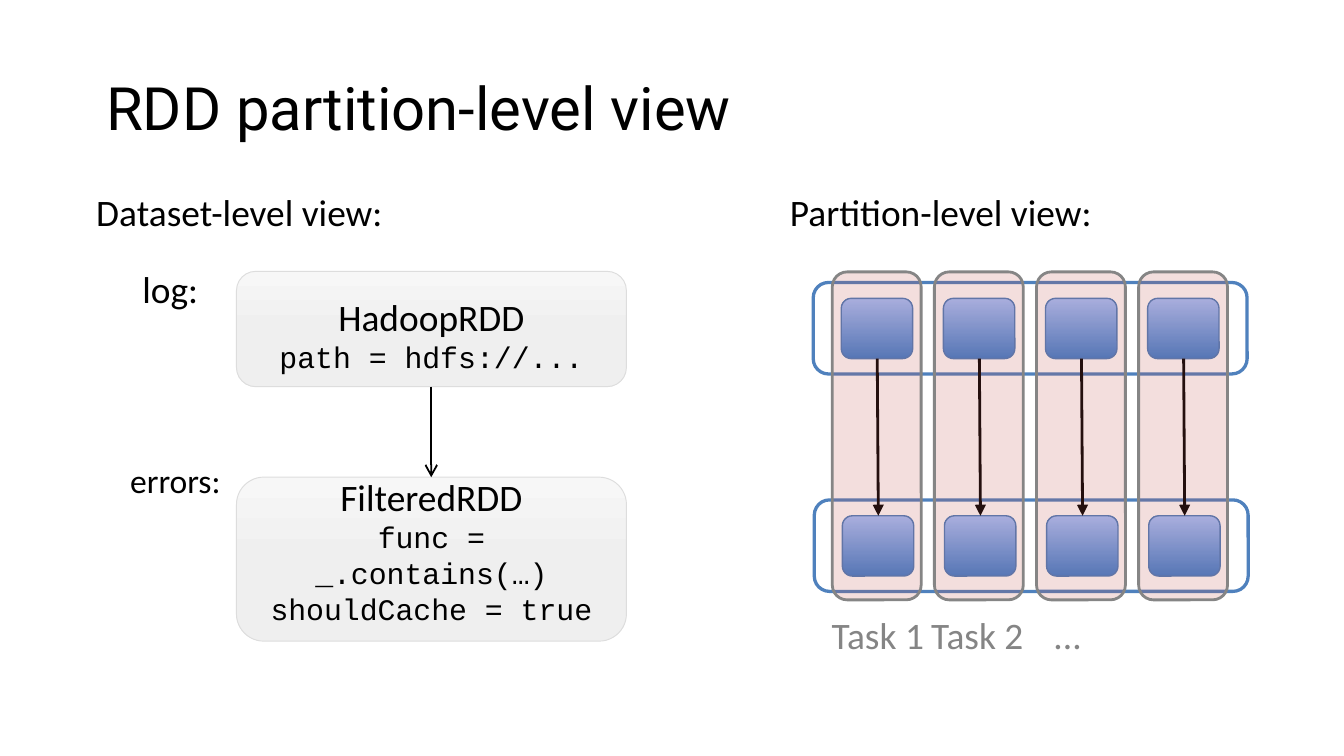
import copy

import pptx
import pptx.dml.color
import pptx.enum.shapes
import pptx.enum.text
import pptx.oxml
import pptx.oxml.ns
import pptx.util

Cm = pptx.util.Cm
Pt = pptx.util.Pt
Align = pptx.enum.text.PP_ALIGN
Anchor = pptx.enum.text.MSO_ANCHOR
qn = pptx.oxml.ns.qn

COLORS = {
    "ink": "000000", "gray": "858585", "white": "FFFFFF",
    "edge": "DDDDDD", "frame": "4F81BD", "rim": "4B7EBC", "task": "C0504D",
}
SILVER = [(0, "F7F7F7"), (0.5, "EFEFEF"), (1, "EDEDED")]
BLUE = [(0, "3F80CE"), (1, "A4C4FF")]
COLS = 4
PITCH = 1.93


def rgb(code):
    return pptx.dml.color.RGBColor.from_string(code)


def style(font, size, name="Calibri", color="ink"):
    font.size = Pt(size)
    font.name = name
    font.color.rgb = rgb(COLORS[color])


def add_round(slide, left, top, width, height, line, weight):
    kind = pptx.enum.shapes.MSO_SHAPE.ROUNDED_RECTANGLE
    shape = slide.shapes.add_shape(kind, Cm(left), Cm(top), Cm(width), Cm(height))
    shape.shadow.inherit = False
    shape.line.color.rgb = rgb(COLORS[line])
    shape.line.width = Pt(weight)
    return shape


def fill_solid(shape, color, alpha=None):
    shape.fill.solid()
    shape.fill.fore_color.rgb = rgb(COLORS[color])
    if alpha is not None:
        tint = shape.fill._xPr.find(qn("a:solidFill"))[0]
        pptx.oxml.ns  # namespace helpers
        node = tint.makeelement(qn("a:alpha"), {"val": str(alpha * 1000)})
        tint.append(node)


def fill_blend(shape, stops, angle):
    """Fill with gradient stops; the angle runs counter-clockwise."""
    shape.fill.gradient()
    shape.fill.gradient_angle = angle
    group = shape._element.spPr.find(qn("a:gradFill")).find(qn("a:gsLst"))
    while len(group) < len(stops):
        group.append(copy.deepcopy(group[0]))
    for stop, (place, code) in zip(shape.fill.gradient_stops, stops):
        stop.position = place
        stop.color.rgb = rgb(code)


def add_arrow(slide, start, end, weight, head):
    kind = pptx.enum.shapes.MSO_CONNECTOR.STRAIGHT
    ends = [Cm(value) for value in (*start, *end)]
    arrow = slide.shapes.add_connector(kind, *ends)
    arrow.line.color.rgb = rgb(COLORS["ink"])
    arrow.line.width = Pt(weight)
    tail = arrow.line._get_or_add_ln()
    tail.append(tail.makeelement(qn("a:tailEnd"), {"type": head}))
    props = arrow._element.spPr
    props.append(props.makeelement(qn("a:effectLst"), {}))


def add_label(slide, text, left, top, width, size=20, color="ink", wrap=False):
    box = slide.shapes.add_textbox(Cm(left), Cm(top), Cm(width), Cm(size * 0.056))
    frame = box.text_frame
    frame.word_wrap = wrap
    frame.auto_size = pptx.enum.text.MSO_AUTO_SIZE.SHAPE_TO_FIT_TEXT
    frame.text = text
    style(frame.paragraphs[0].runs[0].font, size, color=color)


def add_card(slide, top, height, text):
    """Add a dataset box: a name, then lines of code."""
    card = add_round(slide, 4.47, top, 7.37, height, "edge", 0.5)
    fill_blend(card, SILVER, 270)
    frame = card.text_frame
    frame.word_wrap = True
    frame.vertical_anchor = Anchor.BOTTOM
    para = frame.paragraphs[0]
    para.text = text
    para.alignment = Align.CENTER
    name, *code = para.runs
    style(name.font, 20)
    for run in code:
        style(run.font, 16, "Courier New")


def add_row(slide, left, top):
    """Add one frame with its partitions."""
    frame = add_round(slide, left, top, 8.2, 1.73, "frame", 1.75)
    fill_solid(frame, "white")
    for col in range(COLS):
        part = add_round(slide, left + 0.53 + col * PITCH, top + 0.3,
                         1.35, 1.14, "rim", 0.75)
        fill_blend(part, BLUE, 90)


def add_title(slide, text):
    title = slide.shapes.title
    title.left, title.top = Cm(1.75), Cm(0.76)
    title.width, title.height = Cm(21.89), Cm(2.08)
    frame = title.text_frame
    frame.text = text
    frame.vertical_anchor = Anchor.BOTTOM
    para = frame.paragraphs[0]
    para.alignment = Align.LEFT
    para.line_spacing = 0.9
    style(para.runs[0].font, 32, "Roboto")


def main():
    deck = pptx.Presentation()
    deck.slide_width, deck.slide_height = Cm(25.4), Cm(14.29)
    slide = deck.slides.add_slide(deck.slide_layouts[5])
    add_title(slide, "RDD partition-level view")

    add_card(slide, 5.13, 2.18, "HadoopRDD\npath = hdfs://...")
    add_card(slide, 9.02, 3.1,
             "FilteredRDD\nfunc = _.contains(…)\nshouldCache = true")
    add_arrow(slide, (8.15, 7.31), (8.15, 9.02), 1, "arrow")
    add_label(slide, "log:", 2.44, 4.9, 1.57, wrap=True)
    add_label(slide, "errors:", 2.21, 8.56, 2.26, size=18)

    add_row(slide, 15.37, 5.34)
    add_row(slide, 15.39, 9.45)
    for col in range(COLS):
        mid = 16.58 + col * PITCH
        add_arrow(slide, (mid, 6.78), (mid + 0.02, 9.75), 1.5, "triangle")

    add_label(slide, "Partition-level view:", 14.68, 3.45, 6.3)
    add_label(slide, "Dataset-level view:", 1.57, 3.45, 6.02)

    for col in range(COLS):
        task = add_round(slide, 15.73 + col * PITCH, 5.14, 1.68, 6.2, "gray", 1.5)
        fill_solid(task, "task", alpha=19)
    for text, left, width in (("Task 1", 15.47, 2.34), ("Task 2", 17.35, 2.34),
                              ("...", 19.66, 1.07)):
        add_label(slide, text, left, 11.45, width, color="gray")

    deck.save("out.pptx")


if __name__ == "__main__":
    main()
